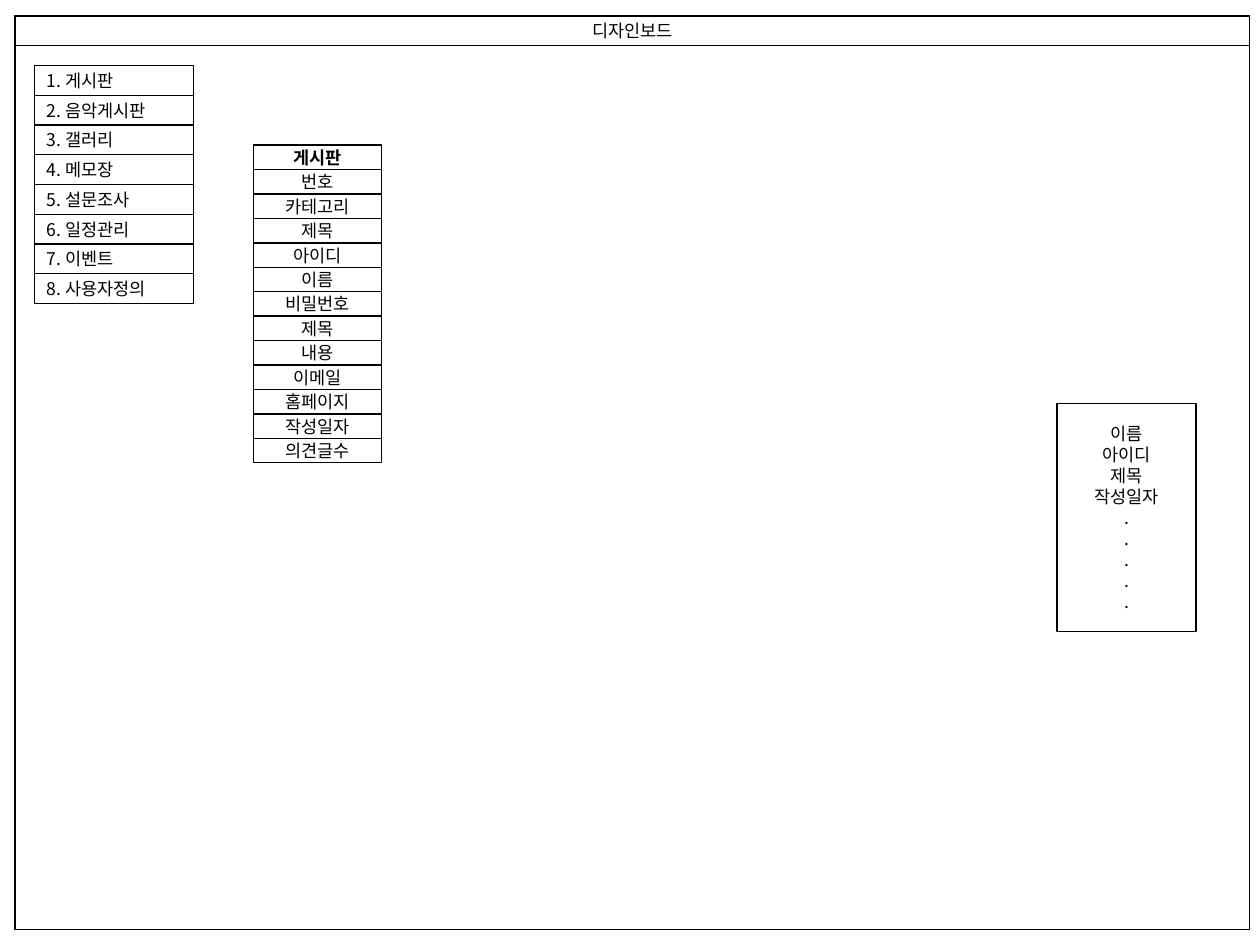
from pptx import Presentation
from pptx.dml.color import RGBColor
from pptx.enum.shapes import MSO_SHAPE as Preset
from pptx.enum.text import MSO_ANCHOR as Anchor, MSO_AUTO_SIZE as AutoSize, PP_ALIGN as Align
from pptx.oxml.ns import qn
from pptx.util import Pt
from lxml.etree import SubElement

COLORS = {"paper": "FFFFFF", "ink": "000000"}
FONT = "Noto Sans CJK KR"
MENU = ["게시판", "음악게시판", "갤러리", "메모장", "설문조사", "일정관리", "이벤트", "사용자정의"]
FIELDS = ["게시판", "번호", "카테고리", "제목", "아이디", "이름", "비밀번호", "제목",
          "내용", "이메일", "홈페이지", "작성일자", "의견글수"]
DETAILS = ["이름", "아이디", "제목", "작성일자"] + ["."] * 5


def color(name):
    return RGBColor.from_string(COLORS[name])


def outline(shape):
    shape.fill.solid()
    shape.fill.fore_color.rgb = color("paper")
    shape.line.color.rgb = color("ink")
    shape.line.width = Pt(0.75)


def add_box(parent, box):
    shape = parent.add_shape(Preset.RECTANGLE, *map(Pt, box))
    shape.shadow.inherit = False
    outline(shape)
    return shape


def place(holder, box):
    """Move a placeholder to its box, in front of what is there already."""
    holder.left, holder.top, holder.width, holder.height = map(Pt, box)
    outline(holder)
    holder.element.getparent().append(holder.element)


def write(shape, lines, size=10, bold=False, align=Align.CENTER):
    frame = shape.text_frame
    frame.word_wrap = False
    frame.auto_size = AutoSize.NONE
    frame.vertical_anchor = Anchor.MIDDLE
    for index, line in enumerate(lines):
        para = frame.add_paragraph() if index else frame.paragraphs[0]
        para.alignment = align
        para.space_before = Pt(0)
        span = para.add_run()
        span.text = line
        span.font.name = FONT
        span.font.size = Pt(size)
        span.font.bold = bold
        span.font.color.rgb = color("ink")
        SubElement(span.font._element, qn("a:ea"), typeface=FONT)


def add_title_bar(slide, box):
    place(slide.shapes.title, box)
    write(slide.shapes.title, ["디자인보드"])


def add_detail_box(slide, box):
    body = slide.placeholders[1]
    place(body, box)
    write(body, DETAILS)
    # Plain centred lines: no bullet, no indent
    for para in body.text_frame.paragraphs:
        props = para._p.get_or_add_pPr()
        props.set("marL", "0")
        props.set("indent", "0")
        SubElement(props, qn("a:buNone"))


def add_stack(slide, box, rows, heading=False, align=Align.CENTER):
    """Equal rows that fill the box from top to bottom."""
    left, top, width, height = box
    step = height / len(rows)
    group = slide.shapes.add_group_shape()
    for index, row in enumerate(rows):
        cell = add_box(group.shapes, (left, top + index * step, width, step))
        write(cell, [row], bold=heading and index == 0, align=align)


def add_menu(slide, box):
    rows = [f"{number}. {name}" for number, name in enumerate(MENU, 1)]
    add_stack(slide, box, rows, align=Align.LEFT)


def add_field_list(slide, box):
    add_stack(slide, box, FIELDS, heading=True)


def main():
    deck = Presentation()
    deck.slide_width, deck.slide_height = Pt(720), Pt(540)
    slide = deck.slides.add_slide(deck.slide_layouts[1])

    # Board frame
    add_box(slide.shapes, (8.6, 9.2, 705.6, 522))
    # Contents of the board
    add_detail_box(slide, (604, 230.4, 79.4, 130.4))
    add_menu(slide, (19.6, 37.5, 91, 136))
    add_field_list(slide, (144.7, 82.9, 73.4, 181.6))
    # Bar on top of the frame
    add_title_bar(slide, (8.6, 9.2, 705.6, 16.8))

    deck.save("out.pptx")


if __name__ == "__main__":
    main()
